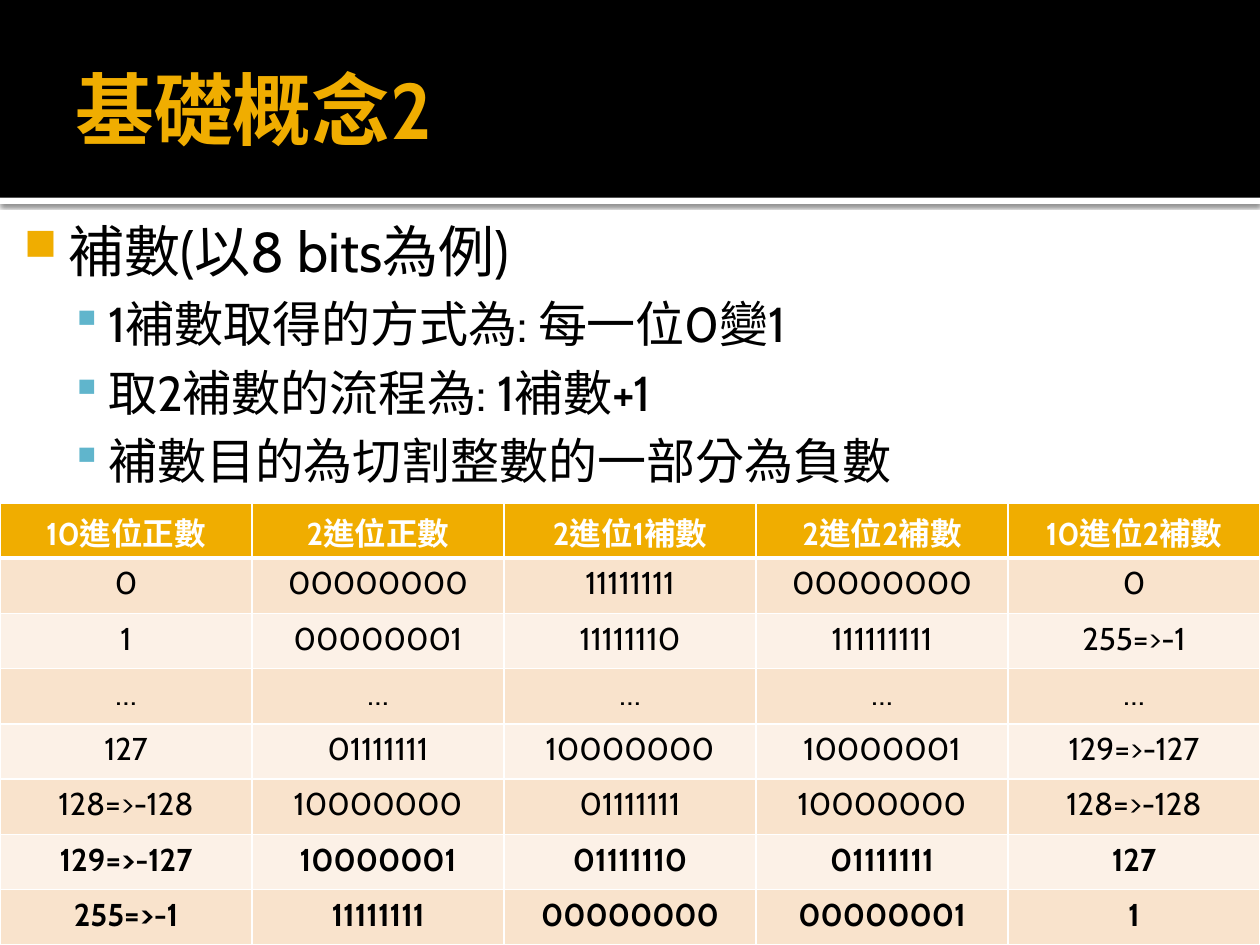
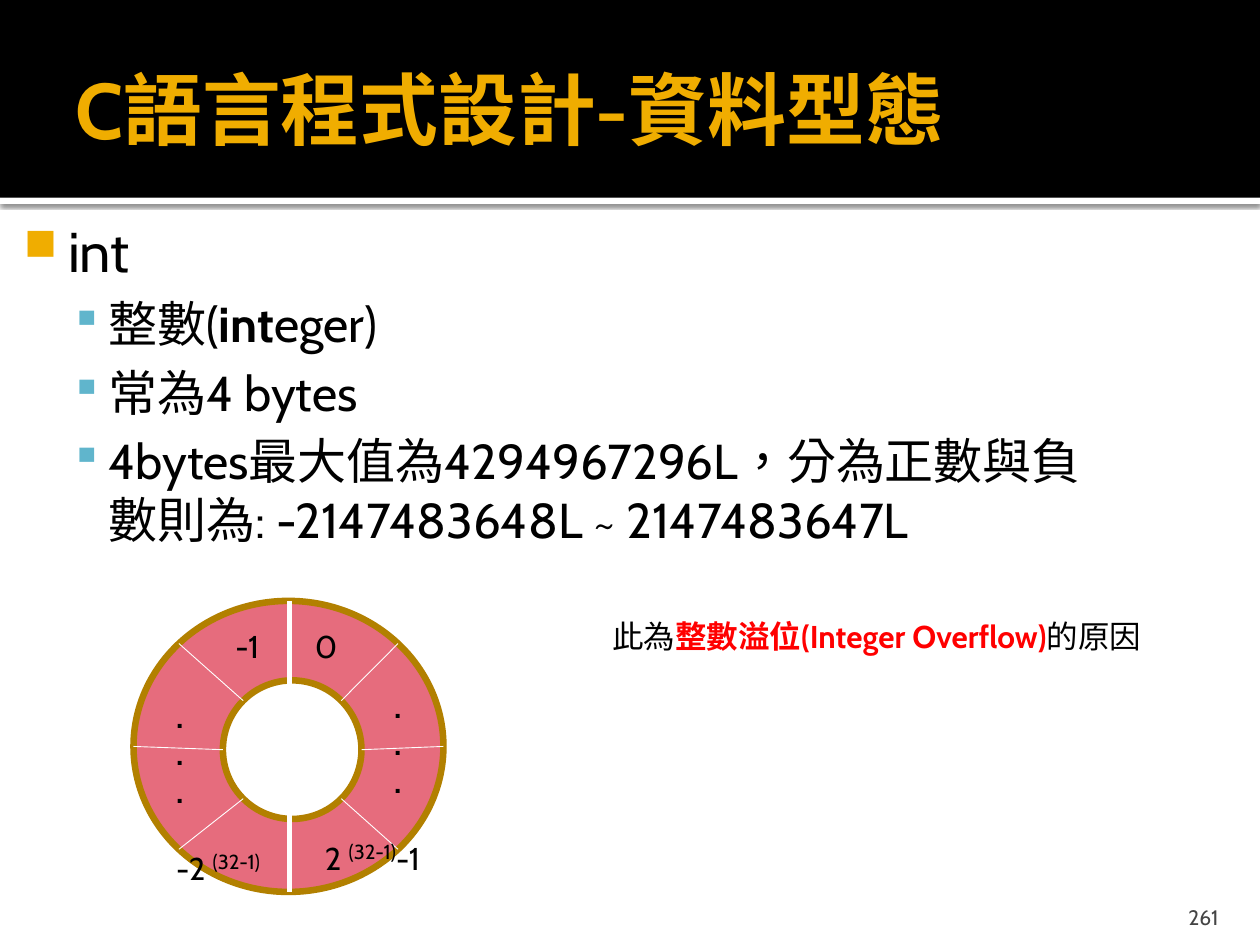
"""Build two slides on complements and the int type."""
import math

import pptx
import pptx.dml.color
import pptx.enum.shapes
import pptx.enum.text
import pptx.oxml
import pptx.oxml.ns
import pptx.util
from lxml import etree

Pt = pptx.util.Pt
RGB = pptx.dml.color.RGBColor
SHAPE = pptx.enum.shapes.MSO_SHAPE
ALIGN = pptx.enum.text.PP_ALIGN
ANCHOR = pptx.enum.text.MSO_ANCHOR
qn = pptx.oxml.ns.qn

FONT = "Cabin"
BLACK = RGB(0x00, 0x00, 0x00)
WHITE = RGB(0xFF, 0xFF, 0xFF)
GOLD = RGB(0xF0, 0xAD, 0x00)
BLUE = RGB(0x60, 0xB5, 0xCC)
RED = RGB(0xFF, 0x00, 0x00)
PINK = RGB(0xE6, 0x6C, 0x7D)
BROWN = RGB(0xB2, 0x80, 0x00)
GRAY = RGB(0x45, 0x45, 0x45)
PEACH = RGB(0xF9, 0xE3, 0xCC)
CREAM = RGB(0xFC, 0xF1, 0xE7)

WIDE, HIGH = 720, 540
BAND = (0, 0, WIDE, 113)
STRIP = (0, 113, WIDE, 3.6)
TITLE = (36, 12.2, 648, 98.6)
BODY = (0, 116.6, 648, 364.3)
GRID = (0, 287.3, WIDE, 252.7)
RING = (76.3, 343.4, 177.1, 166.3)
NOTE = (342.7, 349.2, 321.1, 28.8)
PAGE = (645.8, 509.8, 57.6, 21.6)
PAD = (7.2, 3.6, 7.2, 3.6)

FACTS = ["補數(以8 bits為例)", "1補數取得的方式為: 每一位0變1",
         "取2補數的流程為: 1補數+1", "補數目的為切割整數的一部分為負數"]
INTS = ["int", [("整數(", {}), ("int", {"bold": True}), ("eger)", {})],
        "常為4 bytes",
        "4bytes最大值為4294967296L，分為正數與負數則為: "
        "-2147483648L ~ 2147483647L"]
ROWS = [
    ("10進位正數", "2進位正數", "2進位1補數", "2進位2補數", "10進位2補數"),
    ("0", "00000000", "11111111", "00000000", "0"),
    ("1", "00000001", "11111110", "111111111", "255=>-1"),
    ("…",) * 5,
    ("127", "01111111", "10000000", "10000001", "129=>-127"),
    ("128=>-128", "10000000", "01111111", "10000000", "128=>-128"),
    ("129=>-127", "10000001", "01111110", "01111111", "127"),
    ("255=>-1", "11111111", "00000000", "00000001", "1"),
]
POWER = ("(32-1)", {"size": 20, "base": 30000})


def style(run, size, color=BLACK, bold=False, base=0):
    """Give a run its font, language and baseline."""
    font = run.font
    font.name, font.size, font.bold = FONT, Pt(size), bold
    font.color.rgb = color
    props = run._r.get_or_add_rPr()
    props.set("lang", "zh-TW")
    if base:
        props.set("baseline", str(base))


def write(para, parts, **look):
    """Write a string, or (text, look) pairs, into a paragraph."""
    if isinstance(parts, str):
        parts = [(parts, {})]
    para.text = parts[0][0]
    for words, _ in parts[1:]:
        para.add_run().text = words
    for run, (_, own) in zip(para.runs, parts):
        style(run, **{**look, **own})


def label(slide, box, lines, pad=PAD, anchor=ANCHOR.TOP, align=None, **look):
    """Place a text box and return its paragraphs."""
    frame = slide.shapes.add_textbox(*map(Pt, box)).text_frame
    frame.word_wrap = True
    frame.vertical_anchor = anchor
    (frame.margin_left, frame.margin_top,
     frame.margin_right, frame.margin_bottom) = map(Pt, pad)
    for num, line in enumerate(lines):
        para = frame.add_paragraph() if num else frame.paragraphs[0]
        para.alignment = align
        write(para, line, **look)
    return frame.paragraphs


def solid(slide, kind, box, color, edge=None):
    """Place a filled shape, with an outline if edge is given."""
    shape = slide.shapes.add_shape(kind, *map(Pt, box))
    shape.shadow.inherit = False
    shape.fill.solid()
    shape.fill.fore_color.rgb = color
    if edge is None:
        shape.line.fill.background()
    else:
        shape.line.color.rgb = edge
        shape.line.width = Pt(3.75)
    return shape


def line(slide, start, end, width):
    """Draw a white line between two points."""
    link = slide.shapes.add_connector(
        pptx.enum.shapes.MSO_CONNECTOR.STRAIGHT, *map(Pt, start + end))
    link.line.color.rgb = WHITE
    link.line.width = Pt(width)
    etree.SubElement(link._element.spPr, qn("a:effectLst"))


def head(slide, title):
    """Place the black band, its shaded strip and the title."""
    strip = solid(slide, SHAPE.RECTANGLE, STRIP, WHITE)
    glow = strip._element.spPr.find(qn("a:effectLst"))
    shade = etree.SubElement(glow, qn("a:outerShdw"), blurRad=str(Pt(2.5)),
                             dist=str(Pt(0.8)), dir="5400000", algn="t",
                             rotWithShape="0")
    tone = etree.SubElement(shade, qn("a:srgbClr"), val=str(BLACK))
    etree.SubElement(tone, qn("a:alpha"), val="60000")
    solid(slide, SHAPE.RECTANGLE, BAND, BLACK)
    label(slide, TITLE, [title], (7.2, 3.6, 3.6, 3.6), ANCHOR.MIDDLE,
          size=45, color=GOLD, bold=True)


def bullet(para, mark, color, scale, left, hang):
    """Give a paragraph a hanging bullet."""
    props = para._p.get_or_add_pPr()
    props.set("marL", str(Pt(left)))
    props.set("indent", str(Pt(-hang)))
    tint = etree.SubElement(props, qn("a:buClr"))
    etree.SubElement(tint, qn("a:srgbClr"), val=str(color))
    etree.SubElement(props, qn("a:buSzPct"), val=str(scale * 1000))
    etree.SubElement(props, qn("a:buChar"), char=mark)


def body(slide, box, lines):
    """Place a lead line with its sub-points."""
    lines = [lines[0]] + lines[1:]
    first, *rest = label(slide, box, lines, (4.3, 7.2, 7.2, 3.6), size=28)
    first.runs[0].font.size = Pt(32)
    bullet(first, "■", GOLD, 80, 34.6, 25.2)
    for para in rest:
        para.level = 1
        para.space_before = Pt(5.6)
        bullet(para, "▪", BLUE, 90, 57.6, 21.6)


def rule(cell, last):
    """Draw white borders round a cell, the lower one of width last."""
    props = cell._tc.get_or_add_tcPr()
    for side, width in zip("LRTB", (1, 1, 1, last)):
        edge = etree.SubElement(props, qn("a:ln" + side), w=str(Pt(width)))
        fill = etree.SubElement(edge, qn("a:solidFill"))
        etree.SubElement(fill, qn("a:srgbClr"), val=str(WHITE))


def grid(slide, box, rows):
    """Place the table of complements."""
    table = slide.shapes.add_table(
        len(rows), len(rows[0]), *map(Pt, box)).table
    table.horz_banding = False
    for col in table.columns:
        col.width = Pt(box[2] / len(rows[0]))
    for num, row in enumerate(rows):
        table.rows[num].height = Pt(box[3] / len(rows))
        top = num == 0
        for col, words in enumerate(row):
            cell = table.cell(num, col)
            rule(cell, 3 if top else 1)
            cell.fill.solid()
            cell.fill.fore_color.rgb = (
                GOLD if top else PEACH if num % 2 else CREAM)
            para = cell.text_frame.paragraphs[0]
            para.alignment = ALIGN.CENTER
            write(para, words, size=18, color=WHITE if top else BLACK,
                  bold=top or num >= len(rows) - 2)


def rim(box, turn):
    """Return the point of an ellipse at an angle in degrees."""
    x, y, w, h = box
    rad = math.radians(turn)
    return (x + w / 2 * (1 + math.cos(rad)), y + h / 2 * (1 - math.sin(rad)))


def ring(slide, box):
    """Place the ring of int values."""
    x, y, w, h = box
    hole = (x + 51.1, y + 45.4, 79.2, 79.2)
    solid(slide, SHAPE.OVAL, box, PINK, BROWN)
    solid(slide, SHAPE.OVAL, hole, WHITE, BROWN)
    mid = x + w / 2 + 0.7
    line(slide, (mid, y), (mid, y + h), 3)
    for turn in (45, 0, 315, 225, 180, 135):
        line(slide, rim(hole, turn), rim(box, turn), 0.5)
    for left, top, wide, high, parts in (
            (96.5, 11.5, 23.8, 28.8, "0"),
            (102.3, 130.4, 73.4, 28.8, [("2 ", {}), POWER, ("-1", {})]),
            (17.3, 136.1, 64.8, 31.7, [("-2 ", {}), POWER]),
            (51.1, 11.5, 28.8, 28.8, "-1")):
        label(slide, (x + left, y + top, wide, high), [parts], size=18)
    for left, top in ((141.9, 45.4), (17.3, 51.1)):
        label(slide, (x + left, y + top, 23.8, 72.7), ["."] * 3,
              size=18, bold=True)


def main():
    """Build and save the slides."""
    deck = pptx.Presentation()
    deck.slide_width, deck.slide_height = Pt(WIDE), Pt(HIGH)
    blank = deck.slide_layouts[6]

    slide = deck.slides.add_slide(blank)
    head(slide, "基礎概念2")
    body(slide, BODY, FACTS)
    grid(slide, GRID, ROWS)

    slide = deck.slides.add_slide(blank)
    head(slide, "C語言程式設計-資料型態")
    body(slide, BODY, INTS)
    ring(slide, RING)
    label(slide, NOTE, [[
        ("此為", {}),
        ("整數溢位(Integer Overflow)", {"color": RED, "bold": True}),
        ("的原因", {})]], size=18)
    label(slide, PAGE, ["261"], (7.2, 3.6, 7.2, 0), ANCHOR.BOTTOM,
          ALIGN.RIGHT, size=12, color=GRAY)
    deck.save("out.pptx")


if __name__ == "__main__":
    main()
